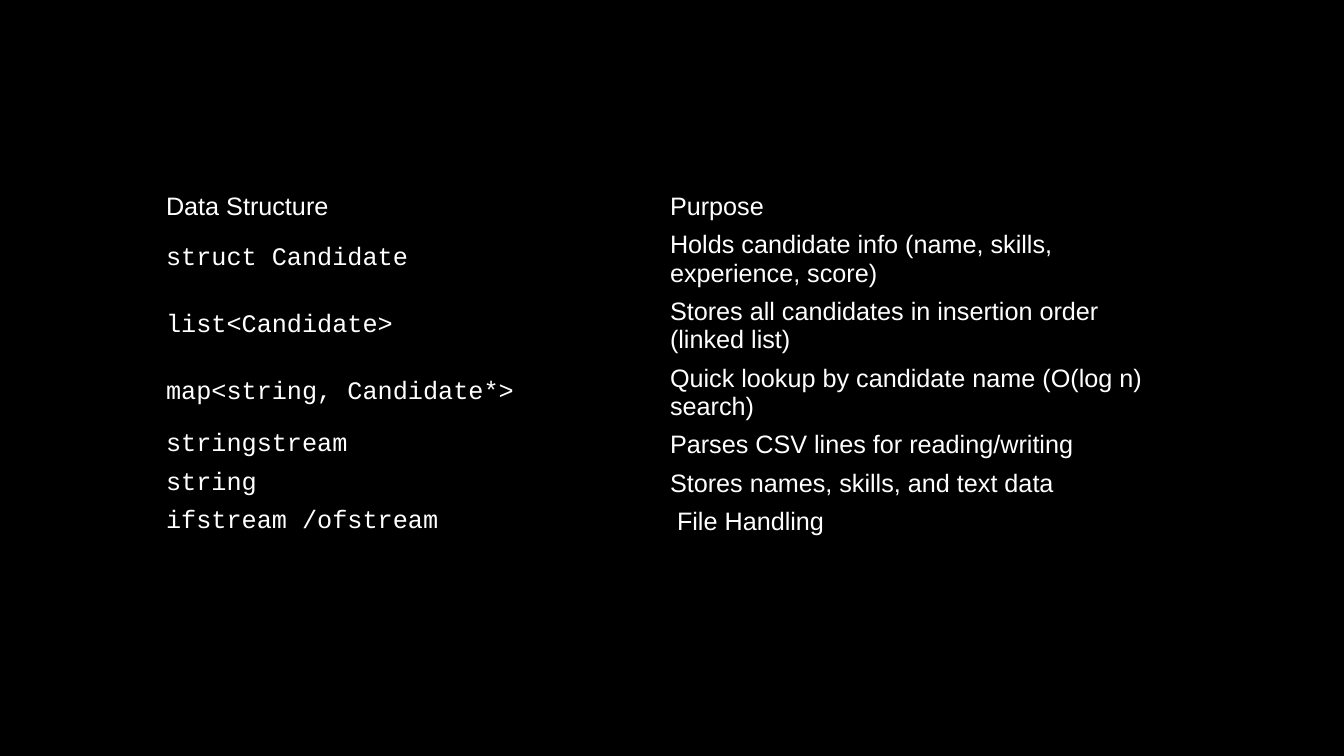
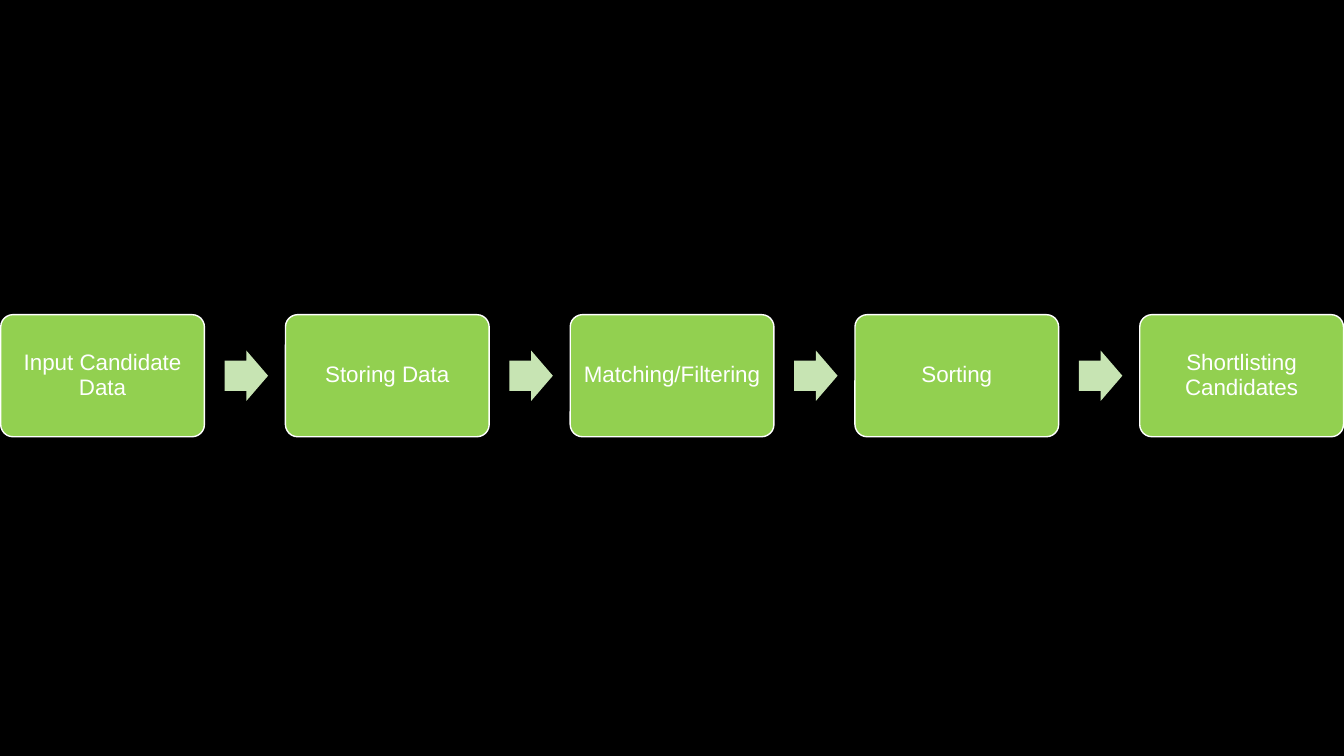
"""Build two slides: a table of data structures and a candidate process flow."""
import pptx
import pptx.util
from pptx.dml.color import RGBColor
from pptx.enum.shapes import MSO_SHAPE
from pptx.enum.text import MSO_ANCHOR, PP_ALIGN
from pptx.oxml.ns import qn

Pt = pptx.util.Pt

BLACK = RGBColor(0x00, 0x00, 0x00)
WHITE = RGBColor(0xFF, 0xFF, 0xFF)
GREEN = RGBColor(0x92, 0xD0, 0x50)
PALE_GREEN = RGBColor(0xC7, 0xE4, 0xB3)
NO_STYLE_NO_GRID = "{2D5ABB26-0587-4C30-8999-92F81FD0307C}"


def write(frame, text, font="Arial", size=18, align=PP_ALIGN.LEFT, spacing=1.0):
    frame.word_wrap = True
    paragraph = frame.paragraphs[0]
    paragraph.alignment = align
    paragraph.line_spacing = spacing
    run = paragraph.add_run()
    run.text = text
    run.font.name = font
    run.font.size = Pt(size)
    run.font.color.rgb = WHITE


def add_flow_shape(slide, kind, left, top, width, height, fill):
    shape = slide.shapes.add_shape(kind, Pt(left), Pt(top), Pt(width), Pt(height))
    shape.shadow.inherit = False
    shape.fill.solid()
    shape.fill.fore_color.rgb = fill
    shape.line.fill.background()
    return shape


deck = pptx.Presentation()
deck.slide_width, deck.slide_height = Pt(960), Pt(540)
backdrop = deck.slide_master.background.fill
backdrop.solid()
backdrop.fore_color.rgb = BLACK
blank = deck.slide_layouts[6]

SINGLE, DOUBLE = 27.4, 47.6
structures = [
    ("Data Structure", "Purpose", SINGLE),
    ("struct Candidate", "Holds candidate info (name, skills, experience, score)", DOUBLE),
    ("list<Candidate>", "Stores all candidates in insertion order (linked list)", DOUBLE),
    ("map<string, Candidate*>", "Quick lookup by candidate name (O(log n) search)", DOUBLE),
    ("stringstream", "Parses CSV lines for reading/writing", SINGLE),
    ("string", "Stores names, skills, and text data", SINGLE),
    ("ifstream /ofstream", " File Handling", SINGLE),
]
structures_slide = deck.slides.add_slide(blank)
table_height = sum(height for _, _, height in structures)
table = structures_slide.shapes.add_table(
    len(structures), 2, Pt(111.4), Pt(134), Pt(720), Pt(table_height)).table
table.first_row = table.horz_banding = False
table._tbl.tblPr.find(qn("a:tableStyleId")).text = NO_STYLE_NO_GRID
for row, (structure, purpose, height) in enumerate(structures):
    table.rows[row].height = Pt(height)
    for column, text in enumerate((structure, purpose)):
        cell = table.cell(row, column)
        cell.fill.background()
        cell.vertical_anchor = MSO_ANCHOR.MIDDLE
        cell.margin_top = cell.margin_bottom = Pt(3)
        write(cell.text_frame, text, font="Courier New" if row and not column else "Arial")

steps = ["Input Candidate Data", "Storing Data", "Matching/Filtering", "Sorting",
         "Shortlisting Candidates"]
STEP_LEFT, STEP_TOP, STEP_WIDTH, STEP_HEIGHT, STEP_PITCH = 0.5, 224.8, 145.5, 87.2, 203.4
ARROW_OFFSET, ARROW_WIDTH, ARROW_HEIGHT = 160, 31, 36
flow_slide = deck.slides.add_slide(blank)
for index, step in enumerate(steps):
    left = STEP_LEFT + index * STEP_PITCH
    step_box = add_flow_shape(flow_slide, MSO_SHAPE.ROUNDED_RECTANGLE,
                              left, STEP_TOP, STEP_WIDTH, STEP_HEIGHT, GREEN)
    step_box.adjustments[0] = 0.1
    step_box.line.color.rgb = WHITE
    step_box.line.width = Pt(1)
    label = step_box.text_frame
    label.margin_left = label.margin_right = label.margin_top = label.margin_bottom = Pt(5)
    label.vertical_anchor = MSO_ANCHOR.MIDDLE
    write(label, step, size=16, align=PP_ALIGN.CENTER, spacing=0.9)
    if index < len(steps) - 1:
        arrow_top = STEP_TOP + (STEP_HEIGHT - ARROW_HEIGHT) / 2
        arrow = add_flow_shape(flow_slide, MSO_SHAPE.RIGHT_ARROW, left + ARROW_OFFSET,
                               arrow_top, ARROW_WIDTH, ARROW_HEIGHT, PALE_GREEN)
        arrow.adjustments[0] = 0.6
        arrow.adjustments[1] = 0.5

deck.save("out.pptx")
